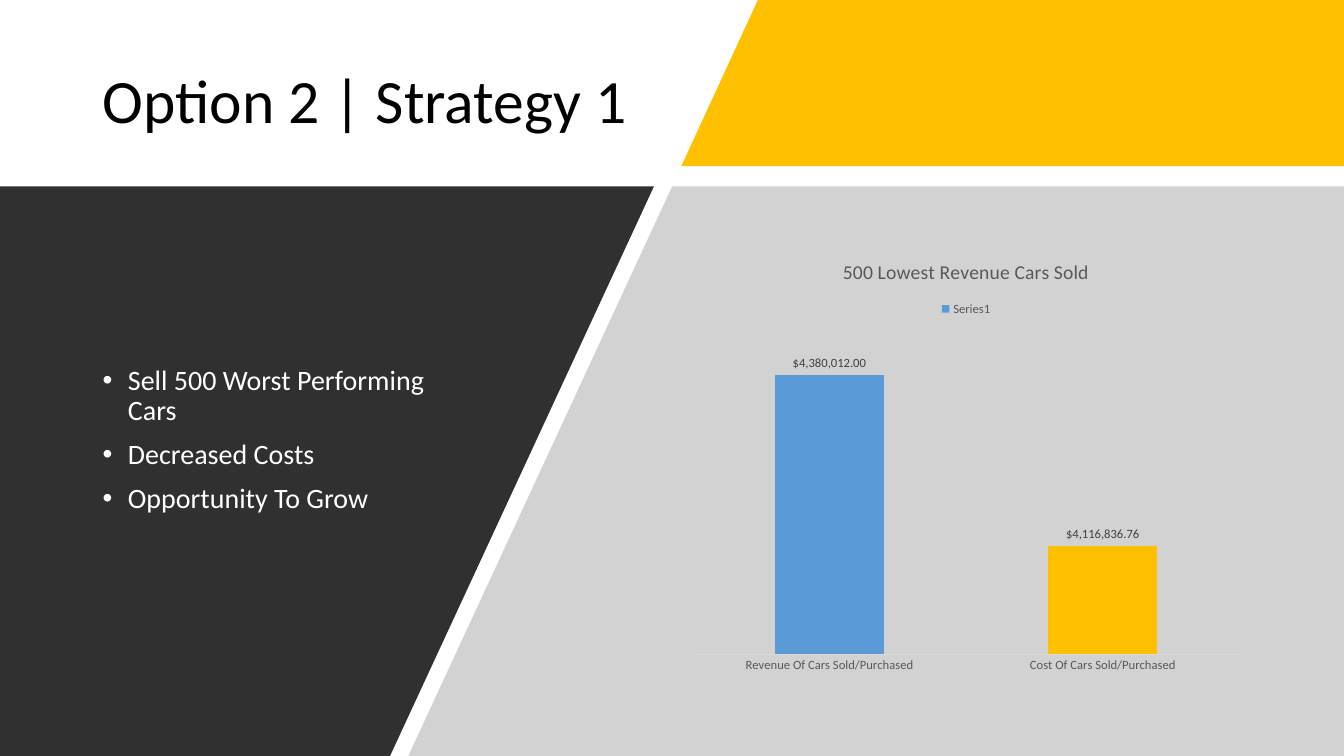
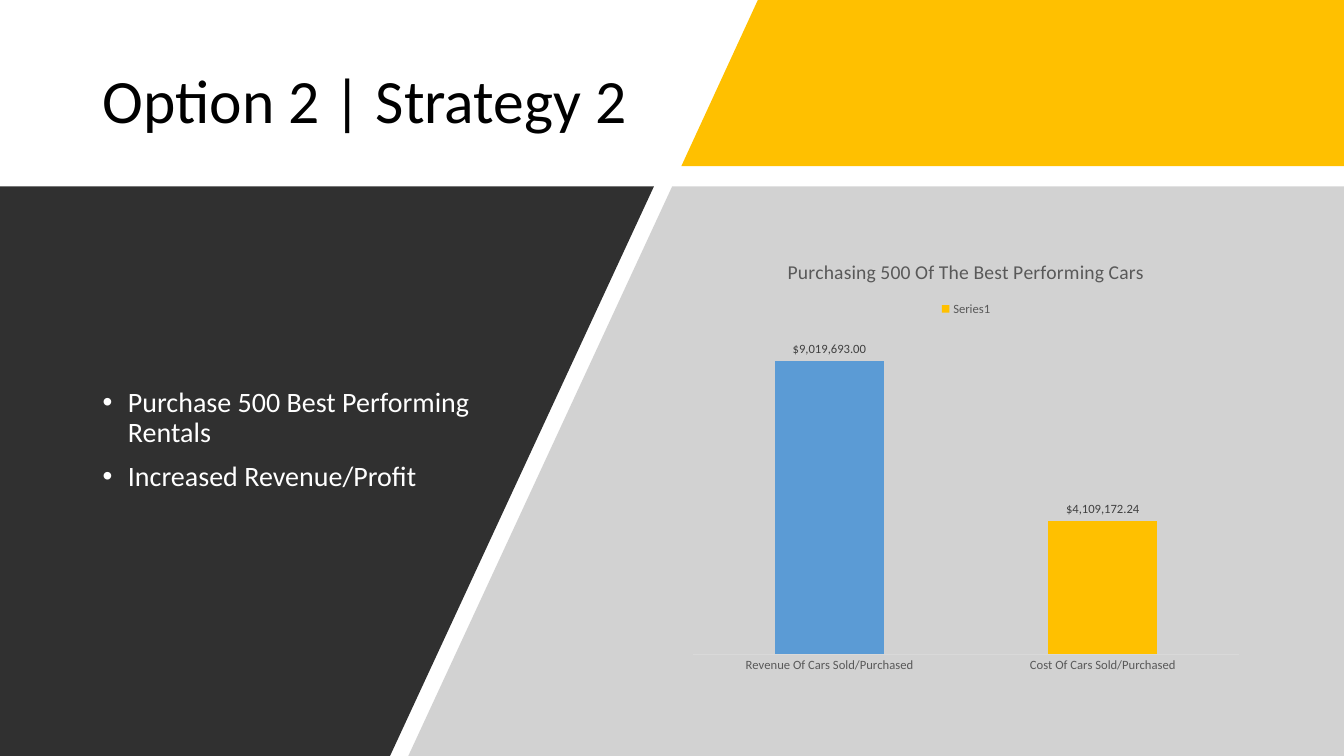
"""Two strategy slides: slanted bands, a title, a bullet list and a column chart."""
from lxml import etree
from pptx import Presentation
from pptx.chart.data import CategoryChartData
from pptx.dml.color import RGBColor
from pptx.enum.chart import XL_CHART_TYPE, XL_LABEL_POSITION, XL_LEGEND_POSITION, XL_TICK_MARK
from pptx.enum.text import MSO_ANCHOR, MSO_AUTO_SIZE, PP_ALIGN
from pptx.oxml.ns import qn
from pptx.util import Cm, Pt

COLUMNS = XL_CHART_TYPE.COLUMN_CLUSTERED
OUTSIDE = XL_LABEL_POSITION.OUTSIDE_END
LEGEND_TOP = XL_LEGEND_POSITION.TOP
NO_TICKS = XL_TICK_MARK.NONE
MIDDLE = MSO_ANCHOR.MIDDLE
NO_FIT = MSO_AUTO_SIZE.NONE
LEFT = PP_ALIGN.LEFT

FONT = "Calibri"
BLACK, WHITE, DARK, GREY = "000000", "FFFFFF", "303030", "A6A6A6"
BLUE, YELLOW = "5B9BD5", "FFC000"
CHART_TEXT, LABEL_TEXT, AXIS_LINE = "595959", "404040", "D9D9D9"
MONEY = '"$"#,##0.00'

# Boxes are (left, top, width, height) in centimetres.
PAGE_W, PAGE_H = 33.87, 19.05
BAND_TOP = 4.7
TITLE_BOX = (2.33, 1.02, 14.83, 3.18)
BODY_BOX = (2.33, 6.05, 10, 10.1)
CHART_BOX = (17.17, 6.05, 14.35, 11.13)
# Each band: box, slant at the left edge, slant at the right edge, fill, opacity.
# A slant is (inset at the top, inset at the bottom).
BANDS = [
    ((17.17, 0, PAGE_W - 17.17, 4.19), (1.93, 0), (0, 0), YELLOW, 100),
    ((10.29, BAND_TOP, PAGE_W - 10.29, PAGE_H - BAND_TOP), (6.65, 0), (0, 0), GREY, 50),
    ((0, BAND_TOP, 16.48, PAGE_H - BAND_TOP), (0, 0), (0, 6.65), DARK, 100),
]

CATEGORIES = ["Revenue Of Cars Sold/Purchased", "Cost Of Cars Sold/Purchased"]
SLIDES = [
    dict(title="Option 2 | Strategy 1",
         bullets=["Sell 500 Worst Performing Cars", "Decreased Costs", "Opportunity To Grow"],
         chart_title="500 Lowest Revenue Cars Sold",
         values=[4380012, 4116836.76], legend_color=BLUE),
    dict(title="Option 2 | Strategy 2",
         bullets=["Purchase 500 Best Performing Rentals", "Increased Revenue/Profit"],
         chart_title="Purchasing 500 Of The Best Performing Cars",
         values=[9019693, 4109172.24], legend_color=YELLOW),
]


def rgb(color):
    """Turn a hex string into a colour."""
    return RGBColor.from_string(color)


def set_all(obj, **values):
    """Set each named attribute of an object."""
    for name, value in values.items():
        setattr(obj, name, value)


def set_font(font, size, color):
    """Format a font with the shared typeface."""
    set_all(font, name=FONT, size=Pt(size), bold=False)
    font.color.rgb = rgb(color)


def paint(fmt, color):
    """Give a fill format one solid colour."""
    fmt.fill.solid()
    fmt.fill.fore_color.rgb = rgb(color)


def place(sp, box):
    """Move a shape to its box."""
    left, top, width, height = (Cm(n) for n in box)
    set_all(sp, left=left, top=top, width=width, height=height)


def add_band(s, box, left_slant, right_slant, color, opacity):
    """Draw a four-sided band whose side edges lean inside the box."""
    x, y, w, h = box
    right, bottom = x + w, y + h
    corners = [(x + left_slant[0], y), (right - right_slant[0], y),
               (right - right_slant[1], bottom), (x + left_slant[1], bottom)]
    points = [(Cm(px), Cm(py)) for px, py in corners]
    builder = s.shapes.build_freeform(*points[0])
    builder.add_line_segments(points[1:], close=True)
    sp = builder.convert_to_shape()
    sp.shadow.inherit = False
    paint(sp, color)
    sp.line.fill.background()
    if opacity < 100:
        clr = sp._element.spPr.find(".//" + qn("a:srgbClr"))
        etree.SubElement(clr, qn("a:alpha")).set("val", str(opacity * 1000))


def fill_placeholder(sp, box, lines, size, color, space_before=0):
    """Move a placeholder and write one paragraph per line."""
    place(sp, box)
    tf = sp.text_frame
    tf.text = "\n".join(lines)
    set_all(tf, vertical_anchor=MIDDLE, word_wrap=True, auto_size=NO_FIT)
    for p in tf.paragraphs:
        set_all(p, alignment=LEFT, line_spacing=0.9, space_before=Pt(space_before))
        set_font(p.runs[0].font, size, color)


def add_bullets(sp, indent):
    """Hang a round bullet before each paragraph."""
    for p in sp.text_frame.paragraphs:
        pPr = p._p.get_or_add_pPr()
        pPr.set("marL", str(Cm(indent)))
        pPr.set("indent", str(-Cm(indent)))
        etree.SubElement(pPr, qn("a:buFont")).set("typeface", "Arial")
        etree.SubElement(pPr, qn("a:buChar")).set("char", "•")


def add_columns(s, box, title, values, legend_color):
    """Add the revenue and cost column chart."""
    data = CategoryChartData(number_format=MONEY)
    data.categories = CATEGORIES
    data.add_series("Series1", values)
    chart = s.shapes.add_chart(COLUMNS, *(Cm(n) for n in box), data).chart
    set_font(chart.font, 10, BLACK)

    chart.has_title = True
    tf = chart.chart_title.text_frame
    tf.text = title
    set_font(tf.paragraphs[0].runs[0].font, 14, CHART_TEXT)

    chart.has_legend = True
    set_all(chart.legend, position=LEGEND_TOP, include_in_layout=False)
    set_font(chart.legend.font, 9, CHART_TEXT)

    set_all(chart.value_axis, visible=False, has_major_gridlines=False)
    axis = chart.category_axis
    set_all(axis, major_tick_mark=NO_TICKS, minor_tick_mark=NO_TICKS)
    set_font(axis.tick_labels.font, 9, CHART_TEXT)
    axis.format.line.color.rgb = rgb(AXIS_LINE)
    axis.format.line.width = Pt(0.75)

    plot = chart.plots[0]
    set_all(plot, gap_width=150, overlap=-25, vary_by_categories=False)
    series = plot.series[0]
    paint(series.format, legend_color)
    for i, color in enumerate([BLUE, YELLOW]):
        if color != legend_color:
            paint(series.points[i].format, color)
    labels = series.data_labels
    set_all(labels, show_value=True, position=OUTSIDE,
            number_format=MONEY, number_format_is_linked=False)
    set_font(labels.font, 9, LABEL_TEXT)


def add_strategy_slide(prs, title, bullets, **chart):
    """Build one strategy slide."""
    s = prs.slides.add_slide(prs.slide_layouts[1])
    for band in BANDS:
        add_band(s, *band)
    body = s.placeholders[1]
    fill_placeholder(s.shapes.title, TITLE_BOX, [title], 44, BLACK)
    fill_placeholder(body, BODY_BOX, bullets, 20, WHITE, space_before=10)
    add_bullets(body, 0.64)
    # Text stays in front of the bands.
    for sp in (s.shapes.title, body):
        s.shapes._spTree.append(sp._element)
    add_columns(s, CHART_BOX, chart["chart_title"], chart["values"], chart["legend_color"])


prs = Presentation()
set_all(prs, slide_width=Cm(PAGE_W), slide_height=Cm(PAGE_H))
for content in SLIDES:
    add_strategy_slide(prs, **content)
prs.save("out.pptx")
